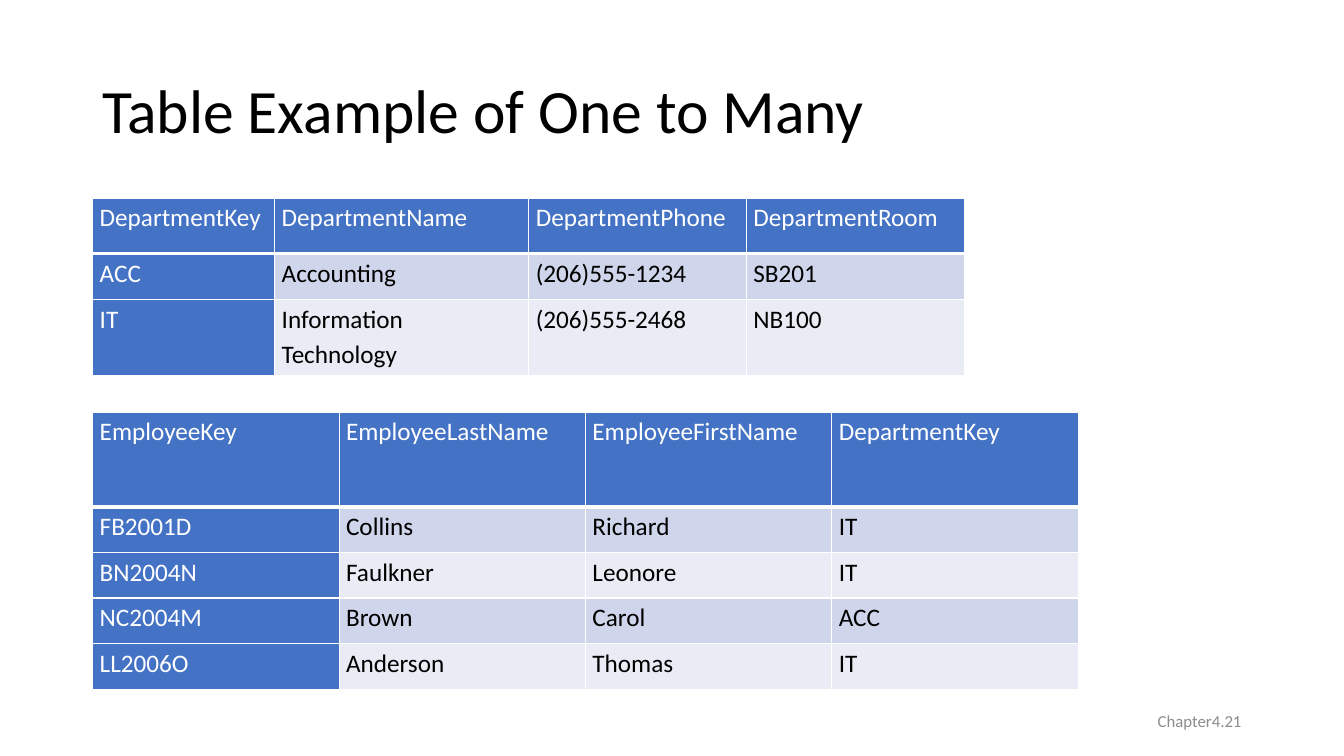
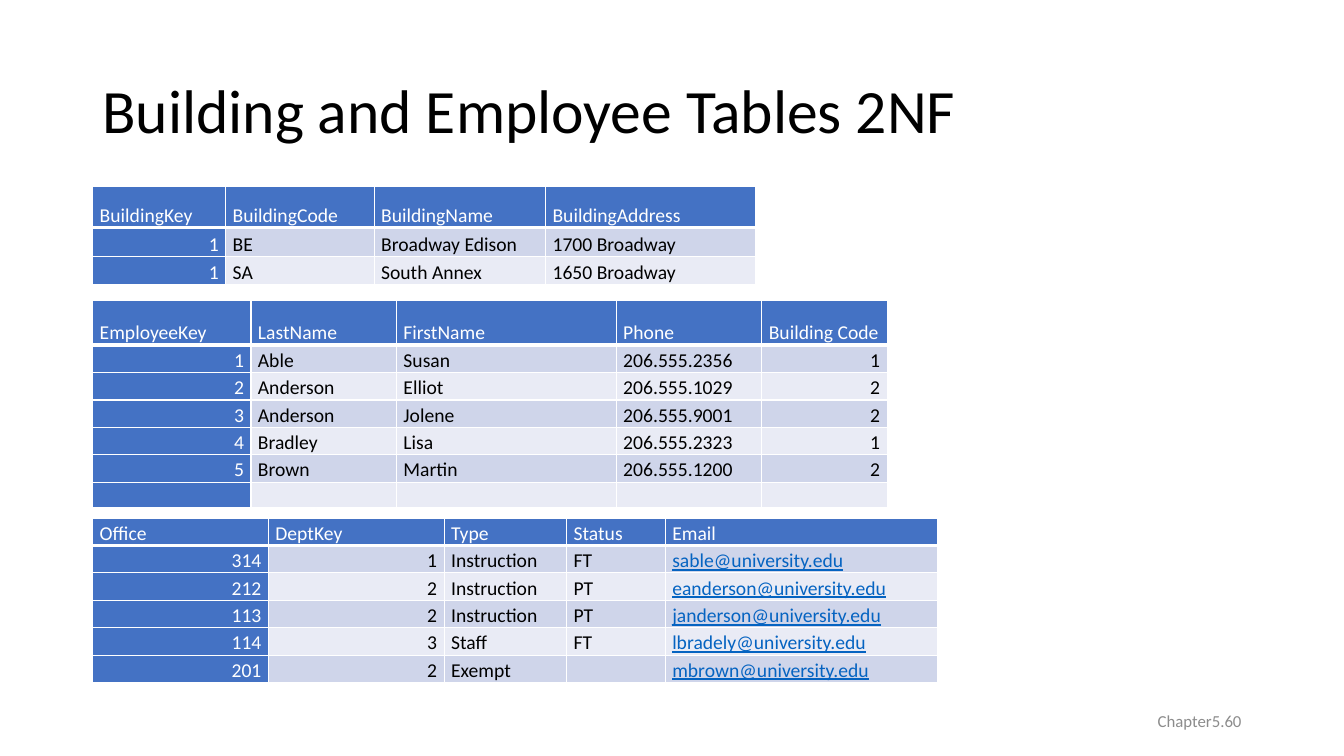
from lxml import etree
from pptx import Presentation
from pptx.dml.color import RGBColor
from pptx.enum.text import MSO_ANCHOR, PP_ALIGN
from pptx.oxml.ns import qn
from pptx.util import Pt

TOP, MID, LOW = MSO_ANCHOR.TOP, MSO_ANCHOR.MIDDLE, MSO_ANCHOR.BOTTOM
LEFT, RIGHT = PP_ALIGN.LEFT, PP_ALIGN.RIGHT
FONT = "Calibri"
EDGE = 66.25
HUES = {
    "white": "FFFFFF",
    "black": "000000",
    "blue": "4472C4",
    "dark": "CFD5EA",
    "pale": "E9EBF5",
    "link": "0563C1",
    "gray": "8C8C8C",
}


def write(frame, text, size=18, hue="black", align=LEFT, space=1.0, line=False):
    frame.word_wrap = True
    para = frame.paragraphs[0]
    para.alignment = align
    para.line_spacing = space
    run = para.add_run()
    run.text = text
    font = run.font
    font.name = FONT
    font.size = Pt(size)
    font.bold = False
    font.underline = line
    font.color.rgb = RGBColor.from_string(HUES[hue])


def draw_grid(slide, top, cols, rows, data, size, anchor):
    shape = slide.shapes.add_table(
        len(rows), len(cols), Pt(EDGE), Pt(top), Pt(sum(cols)), Pt(sum(rows))
    )
    table = shape.table
    for col, width in zip(table.columns, cols):
        col.width = Pt(width)
    for r, (row, height, texts) in enumerate(zip(table.rows, rows, data)):
        row.height = Pt(height)
        for c, (cell, text) in enumerate(zip(row.cells, texts)):
            cell.margin_left = cell.margin_right = Pt(5)
            cell.margin_top = cell.margin_bottom = 0
            cell.vertical_anchor = anchor
            props = cell._tc.get_or_add_tcPr()
            for side in "LRTB":
                wide = 3 if r == 0 and side == "B" else 1
                edge = etree.SubElement(props, qn("a:ln" + side), w=str(Pt(wide)))
                fill = etree.SubElement(edge, qn("a:solidFill"))
                etree.SubElement(fill, qn("a:srgbClr"), val=HUES["white"])
            head = r == 0 or c == 0
            back = "blue" if head else "dark" if r % 2 else "pale"
            cell.fill.solid()
            cell.fill.fore_color.rgb = RGBColor.from_string(HUES[back])
            if not text:
                para = cell.text_frame.paragraphs[0]
                etree.SubElement(para._p, qn("a:endParaRPr"), sz="1200")
                continue
            mail = "@" in text
            write(
                cell.text_frame,
                text,
                size=size,
                hue="link" if mail else "white" if head else "black",
                align=RIGHT if text.isdigit() else LEFT,
                space=1.15,
                line=mail,
            )


rooms = [
    ["DepartmentKey", "DepartmentName", "DepartmentPhone", "DepartmentRoom"],
    ["ACC", "Accounting", "(206)555-1234", "SB201"],
    ["IT", "Information Technology", "(206)555-2468", "NB100"],
]
staff = [
    ["EmployeeKey", "EmployeeLastName", "EmployeeFirstName", "DepartmentKey"],
    ["FB2001D", "Collins", "Richard", "IT"],
    ["BN2004N", "Faulkner", "Leonore", "IT"],
    ["NC2004M", "Brown", "Carol", "ACC"],
    ["LL2006O", "Anderson", "Thomas", "IT"],
]
sites = [
    ["BuildingKey", "BuildingCode", "BuildingName", "BuildingAddress"],
    ["1", "BE", "Broadway Edison", "1700 Broadway"],
    ["1", "SA", "South Annex", "1650 Broadway"],
]
people = [
    ["EmployeeKey", "LastName", "FirstName", "Phone", "Building Code"],
    ["1", "Able", "Susan", "206.555.2356", "1"],
    ["2", "Anderson", "Elliot", "206.555.1029", "2"],
    ["3", "Anderson", "Jolene", "206.555.9001", "2"],
    ["4", "Bradley", "Lisa", "206.555.2323", "1"],
    ["5", "Brown", "Martin", "206.555.1200", "2"],
    [""] * 5,
]
jobs = [
    ["Office", "DeptKey", "Type", "Status", "Email"],
    ["314", "1", "Instruction", "FT", "sable@university.edu"],
    ["212", "2", "Instruction", "PT", "eanderson@university.edu"],
    ["113", "2", "Instruction", "PT", "janderson@university.edu"],
    ["114", "3", "Staff", "FT", "lbradely@university.edu"],
    ["201", "2", "Exempt", "", "mbrown@university.edu"],
]

pages = [
    ("Table Example of One to Many", "Chapter4.21", 18, TOP, [
        (141.5, [130, 181.5, 155.5, 155.5], [39.5, 33, 54], rooms),
        (294.5, [176] * 4, [67.5] + [32.6] * 4, staff),
    ]),
    ("Building and Employee Tables 2NF", "Chapter5.60", 14, LOW, [
        (133, [95, 106, 122.5, 150], [29.5, 21, 20], sites),
        (214.5, [113, 104, 157, 104, 89.5], [32] + [19.6] * 5 + [18], people),
        (370, [125.5, 125.5, 87.5, 70.5, 194.5], [19.6] * 6, jobs),
    ]),
]

deck = Presentation()
deck.slide_width, deck.slide_height = Pt(960), Pt(540)
for title, foot, size, anchor, grids in pages:
    slide = deck.slides.add_slide(deck.slide_layouts[6])
    box = slide.shapes.add_textbox(Pt(66), Pt(28.75), Pt(828), Pt(104.5))
    box.text_frame.vertical_anchor = MID
    write(box.text_frame, title, size=44, space=0.9)
    for top, cols, rows, data in grids:
        draw_grid(slide, top, cols, rows, data, size, anchor)
    box = slide.shapes.add_textbox(Pt(678), Pt(500.5), Pt(216), Pt(28.75))
    box.text_frame.vertical_anchor = MID
    write(box.text_frame, foot, size=12, hue="gray", align=RIGHT)
deck.save("out.pptx")
